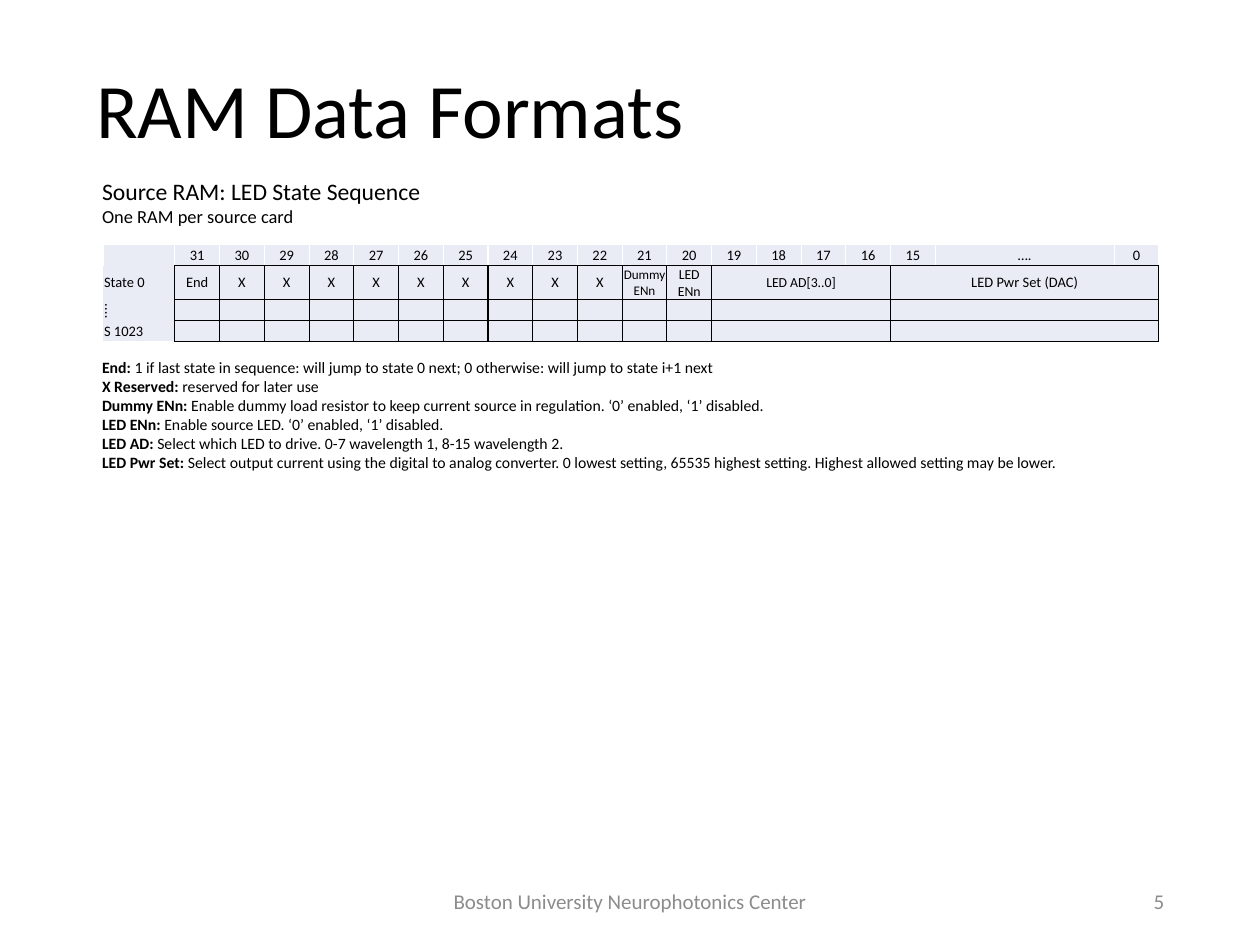
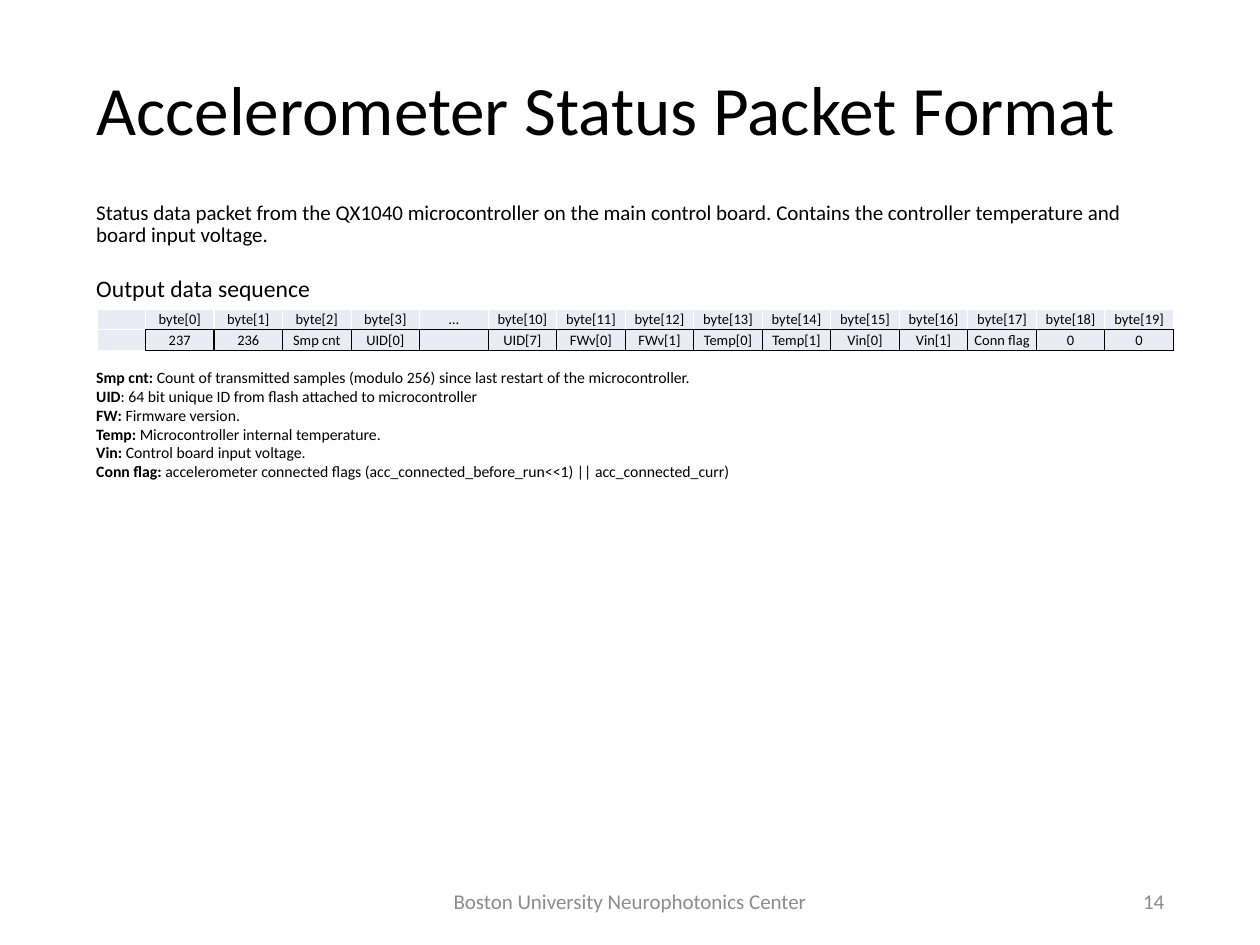
from lxml.etree import SubElement
from pptx import Presentation
from pptx.dml.color import RGBColor
from pptx.enum.text import MSO_ANCHOR, PP_ALIGN
from pptx.oxml.ns import qn
from pptx.util import Inches, Pt

COLORS = {"ink": "000000", "footer": "8C8C8C", "cell": "E9EBF5", "white": "FFFFFF"}
FONT = "Calibri"
LEFT = 6.9
BODY_WIDTH = 86.3
ROW_HEIGHT = 2.2


class Deck:
    """Style and current slide; lengths are percentages of the slide's size."""

    def __init__(self):
        self.prs = Presentation()
        self.prs.slide_width, self.prs.slide_height = Inches(13.32), Inches(9.99)
        self.slide = None

    def across(self, share):
        return round(self.prs.slide_width * share / 100)

    def down(self, share):
        return round(self.prs.slide_height * share / 100)

    def style(self, run, size, color="ink", bold=False):
        font = run.font
        font.name, font.size, font.bold = FONT, Pt(size), bold
        font.color.rgb = RGBColor.from_string(COLORS[color])

    def frame(self, x, y, w, h, anchor=MSO_ANCHOR.TOP):
        box = self.slide.shapes.add_textbox(
            self.across(x), self.down(y), self.across(w), self.down(h))
        box.text_frame.word_wrap = True
        box.text_frame.vertical_anchor = anchor
        return box.text_frame

    def text(self, text, sizes, x, y, w, h, color="ink", align=PP_ALIGN.LEFT,
             anchor=MSO_ANCHOR.TOP, spacing=1.0):
        """One paragraph; each line takes the next size."""
        paragraph = self.frame(x, y, w, h, anchor).paragraphs[0]
        paragraph.text = text
        paragraph.alignment, paragraph.line_spacing = align, spacing
        for run, size in zip(paragraph.runs, sizes):
            self.style(run, size, color)

    def new_slide(self, title, title_size, number):
        self.slide = self.prs.slides.add_slide(self.prs.slide_layouts[6])
        self.text(title, [title_size], LEFT, 5.3, BODY_WIDTH, 13.4,
                  anchor=MSO_ANCHOR.MIDDLE, spacing=0.9)
        for label, x, w, align in (
                ("Boston University Neurophotonics Center", 33.1, 33.8, PP_ALIGN.CENTER),
                (number, 70.65, 22.5, PP_ALIGN.RIGHT)):
            self.text(label, [16], x, 92.7, w, 5.3, "footer", align, MSO_ANCHOR.MIDDLE)

    def definitions(self, entries, x, y, w):
        frame = self.frame(x, y, w, 13.1)
        for i, (term, meaning) in enumerate(entries):
            paragraph = frame.add_paragraph() if i else frame.paragraphs[0]
            for words, bold in ((term, True), (meaning, False)):
                run = paragraph.add_run()
                run.text = words
                self.style(run, 12, bold=bold)

    def borders(self, cell, edges):
        """Draw the given sides and clear the others."""
        properties = cell._tc.get_or_add_tcPr()
        for i, side in enumerate("LRTB"):
            line = SubElement(properties, qn(f"a:ln{side}"), w=str(Pt(1)))
            if side in edges:
                fill = SubElement(line, qn("a:solidFill"))
                SubElement(fill, qn("a:srgbClr"), val=COLORS[edges[side]])
            else:
                SubElement(line, qn("a:noFill"))
            properties.insert(i, line)

    def cell(self, cell, text, size, align, edges):
        cell.margin_left = cell.margin_right = cell.margin_top = Inches(0.01)
        cell.margin_bottom = 0
        cell.vertical_anchor = MSO_ANCHOR.MIDDLE
        cell.fill.solid()
        cell.fill.fore_color.rgb = RGBColor.from_string(COLORS["cell"])
        self.borders(cell, edges)
        paragraph = cell.text_frame.paragraphs[0]
        if text:
            paragraph.text = text
            paragraph.alignment = align
            self.style(paragraph.runs[0], size)
        else:  # an empty cell keeps the row low
            SubElement(paragraph._p, qn("a:endParaRPr"), sz=str(size * 100))

    def bit_table(self, rows, x, y, widths, heights, white_label="", sizes=None, merges=()):
        """Header row and label column around a ruled field grid."""
        table = self.slide.shapes.add_table(
            len(rows), len(widths), self.across(x), self.down(y),
            self.across(sum(widths)), self.down(sum(heights))).table
        table.first_row = table.horz_banding = False
        for column, width in zip(table.columns, widths):
            column.width = self.across(width)
        for row, height in zip(table.rows, heights):
            row.height = self.down(height)
        for r, values in enumerate(rows):
            for c, value in enumerate(values):
                if r == 0:
                    edges = dict.fromkeys("LRT", "white")
                    if c:
                        edges["B"] = "ink"
                elif c == 0:
                    edges = {**dict.fromkeys(white_label, "white"), "R": "ink"}
                else:
                    edges = dict.fromkeys("LRTB", "ink")
                align = PP_ALIGN.CENTER if c else PP_ALIGN.LEFT
                self.cell(table.cell(r, c), value, (sizes or {}).get(value, 11), align, edges)
        for first, last in merges:
            for r in range(1, len(rows)):
                table.cell(r, first).merge(table.cell(r, last))


def ram_formats(deck):
    deck.new_slide("RAM Data Formats", 58.6, "5")
    left = 7.36
    deck.text("Source RAM: LED State Sequence\vOne RAM per source card", [18, 14],
              left, 18.2, 32.7, 6.4)

    # Bit layout of one state word
    bits = [str(bit) for bit in range(31, 14, -1)]
    fields = ["End", *["X"] * 9, "Dummy ENn", "LED ENn",
              "LED AD[3..0]", "", "", "", "LED Pwr Set (DAC)", "", ""]
    blank = [""] * len(fields)
    bit_width = 3.55
    deck.bit_table(
        [["", *bits, "….", "0"], ["State 0", *fields], ["⁞", *blank], ["S 1023", *blank]],
        8.18, 25.9,
        [5.7, *[bit_width] * len(bits), 4 * bit_width, bit_width],
        [ROW_HEIGHT, 3.6, ROW_HEIGHT, ROW_HEIGHT],
        sizes={"Dummy ENn": 10, "LED ENn": 10.5, "LED AD[3..0]": 10.5},
        merges=[(13, 16), (17, 19)])

    # Meaning of the fields
    deck.definitions([
        ("End: ", "1 if last state in sequence: will jump to state 0 next; "
                  "0 otherwise: will jump to state i+1 next"),
        ("X Reserved: ", "reserved for later use"),
        ("Dummy ENn: ", "Enable dummy load resistor to keep current source in regulation. "
                        "‘0’ enabled, ‘1’ disabled."),
        ("LED ENn: ", "Enable source LED. ‘0’ enabled, ‘1’ disabled."),
        ("LED AD: ", "Select which LED to drive. 0-7 wavelength 1, 8-15 wavelength 2."),
        ("LED Pwr Set: ", "Select output current using the digital to analog converter. "
                          "0 lowest setting, 65535 highest setting. "
                          "Highest allowed setting may be lower."),
    ], left, 37.4, 83.9)


def status_packet(deck):
    deck.new_slide("Accelerometer Status Packet Format", 52.7, "14")
    deck.text("Status data packet from the QX1040 microcontroller on the main control board. "
              "Contains the controller temperature and board input voltage.", [16],
              LEFT, 20.9, BODY_WIDTH, 6.7, spacing=0.9)
    deck.text("Output data sequence", [18], LEFT, 28.5, 32.7, 4)

    # Byte layout of the packet
    header = [f"byte[{i}]" for i in range(20)]
    header[4:10] = ["…"]
    values = ["237", "236", "Smp cnt", "UID[0]", "", "UID[7]", "FWv[0]", "FWv[1]",
              "Temp[0]", "Temp[1]", "Vin[0]", "Vin[1]", "Conn flag", "0", "0"]
    deck.bit_table([["", *header], ["", *values]], 7.75, 32.7,
                   [3.8, *[5.44] * len(header)], [ROW_HEIGHT] * 2, white_label="LTB")

    # Meaning of the fields
    deck.definitions([
        ("Smp cnt: ", "Count of transmitted samples (modulo 256) since last restart "
                      "of the microcontroller."),
        ("UID", ": 64 bit unique ID from flash attached to microcontroller"),
        ("FW: ", "Firmware version."),
        ("Temp: ", "Microcontroller internal temperature."),
        ("Vin: ", "Control board input voltage."),
        ("Conn flag: ", "accelerometer connected flags "
                        "(acc_connected_before_run<<1) || acc_connected_curr)"),
    ], LEFT, 38.4, 79.8)


def main():
    deck = Deck()
    ram_formats(deck)
    status_packet(deck)
    deck.prs.save("out.pptx")


if __name__ == "__main__":
    main()
